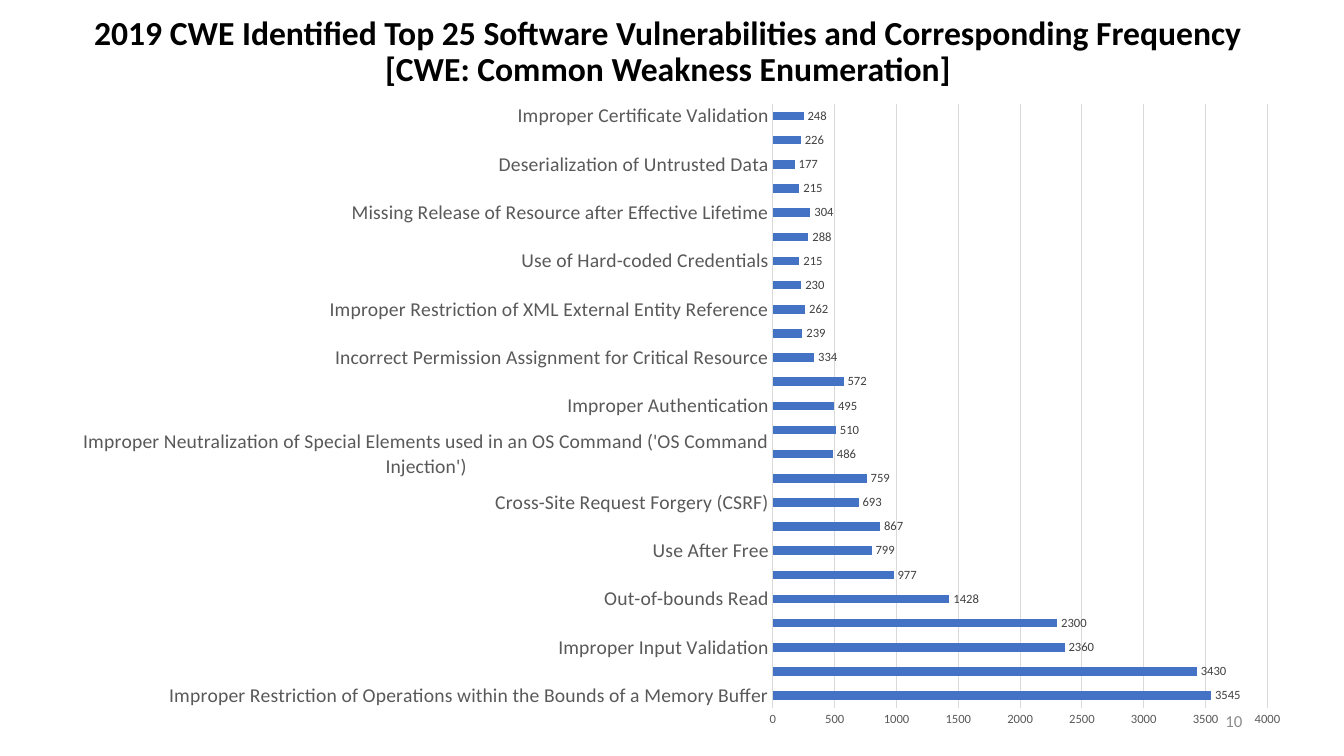
from dataclasses import dataclass

from lxml import etree
from pptx import Presentation
from pptx.chart.data import CategoryChartData
from pptx.dml.color import RGBColor
from pptx.enum.chart import XL_CHART_TYPE as ChartType
from pptx.enum.chart import XL_LABEL_POSITION as LabelPos
from pptx.enum.chart import XL_TICK_MARK as TickMark
from pptx.enum.text import MSO_ANCHOR as Anchor
from pptx.enum.text import PP_ALIGN as Align
from pptx.oxml.ns import qn
from pptx.util import Inches, Pt

FONT = "Calibri"
BLACK = RGBColor(0x00, 0x00, 0x00)
BAR_BLUE = RGBColor(0x44, 0x72, 0xC4)
LABEL_GRAY = RGBColor(0x40, 0x40, 0x40)
AXIS_GRAY = RGBColor(0x59, 0x59, 0x59)
NUMBER_GRAY = RGBColor(0x8C, 0x8C, 0x8C)
GRID_GRAY = RGBColor(0xD9, 0xD9, 0xD9)


@dataclass
class Label:
    text: str
    left: float
    top: float
    width: float
    height: float
    size: float
    color: RGBColor
    align: Align
    bold: bool = False
    line_spacing: float = 1.0


@dataclass
class Weakness:
    name: str
    count: int


PAGE_NUMBER = Label("10", 9.42, 6.95, 3, 0.4, 12, NUMBER_GRAY, Align.RIGHT)
TITLE = Label(
    "2019 CWE Identified Top 25 Software Vulnerabilities and Corresponding Frequency\n"
    "[CWE: Common Weakness Enumeration]",
    0.11, -0.04, 13.03, 1.13, 24, BLACK, Align.CENTER, True, 0.9)

WEAKNESSES = [
    Weakness("Improper Restriction of Operations within the Bounds of a Memory Buffer", 3545),
    Weakness("Improper Neutralization of Input During Web Page Generation "
             "('Cross-site Scripting')", 3430),
    Weakness("Improper Input Validation", 2360),
    Weakness("Information Exposure", 2300),
    Weakness("Out-of-bounds Read", 1428),
    Weakness("Improper Neutralization of Special Elements used in an SQL Command "
             "('SQL Injection')", 977),
    Weakness("Use After Free", 799),
    Weakness("Integer Overflow or Wraparound", 867),
    Weakness("Cross-Site Request Forgery (CSRF)", 693),
    Weakness("Improper Limitation of a Pathname to a Restricted Directory "
             "('Path Traversal')", 759),
    Weakness("Improper Neutralization of Special Elements used in an OS Command "
             "('OS Command Injection')", 486),
    Weakness("Out-of-bounds Write", 510),
    Weakness("Improper Authentication", 495),
    Weakness("NULL Pointer Dereference", 572),
    Weakness("Incorrect Permission Assignment for Critical Resource", 334),
    Weakness("Unrestricted Upload of File with Dangerous Type", 239),
    Weakness("Improper Restriction of XML External Entity Reference", 262),
    Weakness("Improper Control of Generation of Code ('Code Injection')", 230),
    Weakness("Use of Hard-coded Credentials", 215),
    Weakness("Uncontrolled Resource Consumption", 288),
    Weakness("Missing Release of Resource after Effective Lifetime", 304),
    Weakness("Untrusted Search Path", 215),
    Weakness("Deserialization of Untrusted Data", 177),
    Weakness("Improper Privilege Management", 226),
    Weakness("Improper Certificate Validation", 248),
]


def set_font(font, size: float, color: RGBColor, bold: bool = False) -> None:
    font.name = FONT
    font.size = Pt(size)
    font.bold = bold
    font.color.rgb = color


def set_line(line) -> None:
    line.color.rgb = GRID_GRAY
    line.width = Pt(0.75)


def add_label(slide, label: Label) -> None:
    sp = slide.shapes.add_textbox(Inches(label.left), Inches(label.top),
                                  Inches(label.width), Inches(label.height))
    tf = sp.text_frame
    tf.word_wrap = True
    tf.vertical_anchor = Anchor.MIDDLE
    p = tf.paragraphs[0]
    p.text = label.text
    p.alignment = label.align
    p.line_spacing = label.line_spacing
    for r in p.runs:
        set_font(r.font, label.size, label.color, label.bold)


def place_plot(chart, x: float, y: float, w: float, h: float) -> None:
    """Fix the inner plot area, in fractions of the chart."""
    plot_area = chart.plots[0]._element.getparent()
    for old in plot_area.findall(qn("c:layout")):
        plot_area.remove(old)
    layout = etree.Element(qn("c:layout"))
    manual = etree.SubElement(layout, qn("c:manualLayout"))
    settings = {"layoutTarget": "inner", "xMode": "edge", "yMode": "edge",
                "x": x, "y": y, "w": w, "h": h}
    for tag, value in settings.items():
        etree.SubElement(manual, qn(f"c:{tag}")).set("val", str(value))
    plot_area.insert(0, layout)


def add_frequency_chart(slide, weaknesses: list[Weakness]) -> None:
    data = CategoryChartData()
    data.categories = [w.name for w in weaknesses]
    data.add_series("Series 1", [w.count for w in weaknesses])
    chart = slide.shapes.add_chart(ChartType.BAR_CLUSTERED, Inches(0.31), Inches(0.52),
                                   Inches(12.64), Inches(6.83), data).chart
    chart.has_legend = False
    chart.has_title = False
    set_font(chart.font, 10, BLACK)
    place_plot(chart, 0.582, 0.075, 0.388, 0.877)

    # Bars and their values
    plot = chart.plots[0]
    plot.vary_by_categories = False
    plot.gap_width = 182
    fill = plot.series[0].format.fill
    fill.solid()
    fill.fore_color.rgb = BAR_BLUE
    labels = plot.series[0].data_labels
    labels.show_value = True
    labels.position = LabelPos.OUTSIDE_END
    set_font(labels.font, 9, LABEL_GRAY)

    # Axes
    for axis, size in ((chart.category_axis, 14), (chart.value_axis, 9)):
        axis.major_tick_mark = axis.minor_tick_mark = TickMark.NONE
        set_font(axis.tick_labels.font, size, AXIS_GRAY)
    set_line(chart.category_axis.format.line)
    chart.value_axis.format.line.fill.background()
    chart.value_axis.minimum_scale = 0
    chart.value_axis.maximum_scale = 4000
    chart.value_axis.major_unit = 500
    set_line(chart.value_axis.major_gridlines.format.line)


def main() -> None:
    prs = Presentation()
    prs.slide_width, prs.slide_height = Inches(13.33), Inches(7.5)
    slide = prs.slides.add_slide(prs.slide_layouts[6])
    add_label(slide, PAGE_NUMBER)
    add_frequency_chart(slide, WEAKNESSES)
    add_label(slide, TITLE)
    prs.save("out.pptx")


if __name__ == "__main__":
    main()
